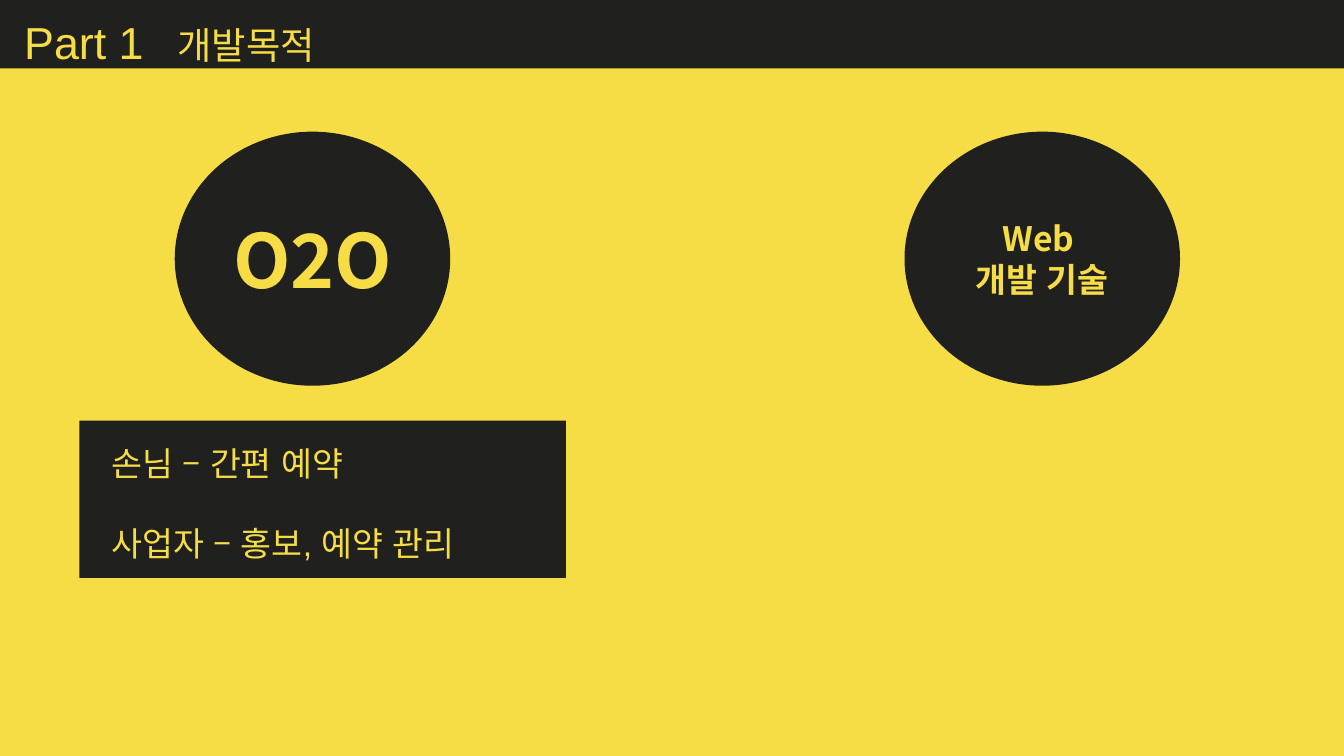
import pptx
import pptx.dml.color
import pptx.enum.lang
import pptx.enum.shapes
import pptx.enum.text
import pptx.oxml
import pptx.oxml.ns
import pptx.util
from pptx.util import Inches

DARK, YELLOW = "20201E", "F6DD46"
KOREAN = "Noto Sans CJK KR"
SHAPES = pptx.enum.shapes.MSO_SHAPE
ANCHORS = pptx.enum.text.MSO_ANCHOR
ALIGNS = pptx.enum.text.PP_ALIGN

SLIDE_WIDTH = Inches(10)
SLIDE_HEIGHT = SLIDE_WIDTH * 9 // 16
HEADING = [("Part 1\t", 24), ("개발목적", 20)]
HEADING_TAB = 1.14
GOALS = ["손님 – 간편 예약", "사업자 – 홍보, 예약 관리"]
CIRCLES = [
    (1.3, ["O2O"], 40, 0.1),
    (6.73, ["Web ", "개발 기술"], 18, 0),
]


def color(value):
    return pptx.dml.color.RGBColor.from_string(value)


def apply(target, values):
    for name, value in values.items():
        setattr(target, name, value)


def add_block(page, kind, place):
    block = page.shapes.add_shape(kind, *map(Inches, place))
    block.shadow.inherit = False
    block.fill.solid()
    block.fill.fore_color.rgb = color(DARK)
    block.line.fill.background()
    return block


def add_span(para, text, size, font, bold=False):
    span = para.add_run()
    span.text = text
    apply(span.font, {"size": pptx.util.Pt(size), "name": font, "bold": bold,
                      "language_id": pptx.enum.lang.MSO_LANGUAGE_ID.KOREAN})
    span.font.color.rgb = color(YELLOW)
    east = pptx.oxml.parse_xml(
        f'<a:ea {pptx.oxml.ns.nsdecls("a")} typeface="{KOREAN}"/>')
    span.font._element.find(pptx.oxml.ns.qn("a:latin")).addnext(east)


def add_lines(frame, lines, size, font, para_format, bold=False, gap=0):
    for index, line in enumerate(lines):
        para = frame.add_paragraph() if index else frame.paragraphs[0]
        apply(para, para_format)
        if index:
            para.space_before = pptx.util.Pt(gap)
        add_span(para, line, size, font, bold)


def add_heading(page):
    bar = add_block(page, SHAPES.RECTANGLE, (0, 0, 10, 0.51))
    title = page.shapes.title
    bar.element.addnext(title.element)
    apply(title, dict(zip(("left", "top", "width", "height"),
                          map(Inches, (0.08, 0.06, 3.83, 0.5)))))
    frame = title.text_frame
    apply(frame, {"vertical_anchor": ANCHORS.TOP, "word_wrap": True,
                  "auto_size": pptx.enum.text.MSO_AUTO_SIZE.NONE})
    para = frame.paragraphs[0]
    para.alignment = ALIGNS.LEFT
    para._p.get_or_add_pPr().append(pptx.oxml.parse_xml(
        f'<a:tabLst {pptx.oxml.ns.nsdecls("a")}>'
        f'<a:tab pos="{Inches(HEADING_TAB)}" algn="l"/></a:tabLst>'))
    for text, size in HEADING:
        add_span(para, text, size, "Arial")


def add_goals(page):
    add_block(page, SHAPES.RECTANGLE, (0.59, 3.13, 3.62, 1.17))
    box = page.shapes.add_textbox(*map(Inches, (0.73, 3.25, 3.49, 1.01)))
    box.text_frame.word_wrap = True
    add_lines(box.text_frame, GOALS, 18, "Arial",
              {"alignment": ALIGNS.LEFT}, gap=21)


def add_circles(page):
    for left, lines, size, inset in CIRCLES:
        circle = add_block(page, SHAPES.OVAL, (left, 0.98, 2.05, 1.89))
        frame = circle.text_frame
        apply(frame, {"vertical_anchor": ANCHORS.MIDDLE, "word_wrap": True,
                      "margin_left": Inches(inset),
                      "margin_right": Inches(inset)})
        add_lines(frame, lines, size, KOREAN,
                  {"alignment": ALIGNS.CENTER}, bold=True)


def main():
    deck = pptx.Presentation()
    apply(deck, {"slide_width": SLIDE_WIDTH, "slide_height": SLIDE_HEIGHT})
    page = deck.slides.add_slide(deck.slide_layouts.get_by_name("Title Only"))
    page.background.fill.solid()
    page.background.fill.fore_color.rgb = color(YELLOW)
    add_heading(page)
    add_goals(page)
    add_circles(page)
    deck.save("out.pptx")


if __name__ == "__main__":
    main()
